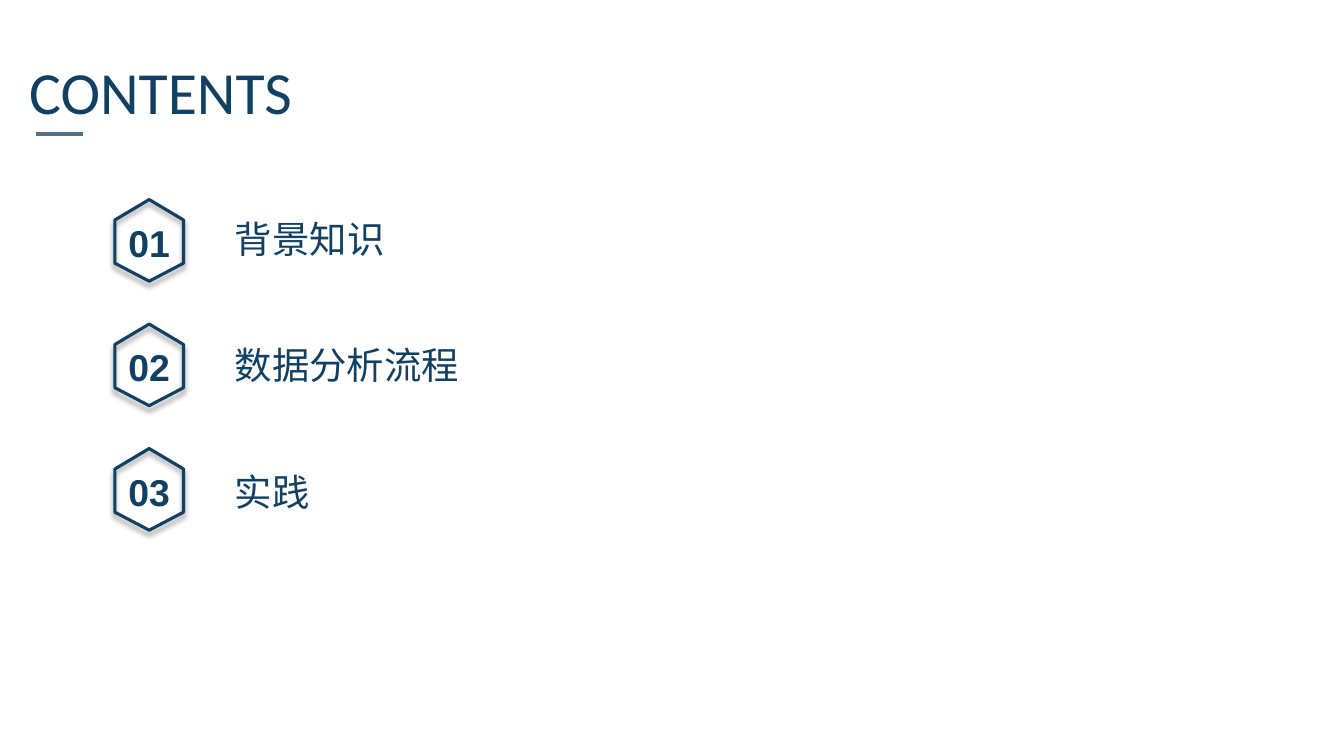
import pptx
import pptx.dml.color
import pptx.enum.shapes
import pptx.enum.text
import pptx.oxml
import pptx.oxml.ns
import pptx.util

NAVY = pptx.dml.color.RGBColor(0x12, 0x40, 0x62)
SLATE = pptx.dml.color.RGBColor(0x53, 0x72, 0x85)
BLACK = pptx.dml.color.RGBColor(0, 0, 0)

COLUMNS, ROWS = 40, 30
ALIGN = pptx.enum.text.PP_ALIGN
HEXAGON = [(0.5, 0), (1, 0.25), (1, 0.78), (0.5, 1), (0, 0.78), (0, 0.25)]
TOPICS = [("背景知识", 13.32), ("数据分析流程", 8.31), ("实践", 28.68)]


def apply(target, values):
    for name, value in values.items():
        setattr(target, name, value)


class ContentsPage:
    heading = {"name": "Calibri", "size": pptx.util.Pt(42.7), "bold": False}
    number = {"name": "Arial", "size": pptx.util.Pt(26.7), "bold": True}
    topic = {"name": "Noto Sans CJK SC", "size": pptx.util.Pt(26.7), "bold": False}
    stroke = pptx.util.Pt(2.25)

    def __init__(self, deck):
        self.column = deck.slide_width / COLUMNS
        self.row = deck.slide_height / ROWS
        self.page = deck.slides.add_slide(deck.slide_layouts[5])

    def point(self, x, y):
        return round(x * self.column), round(y * self.row)

    def fill_text(self, box, text, font, align=ALIGN.LEFT, wrap=True):
        apply(box.text_frame, {
            "word_wrap": wrap,
            "auto_size": pptx.enum.text.MSO_AUTO_SIZE.SHAPE_TO_FIT_TEXT,
            "vertical_anchor": pptx.enum.text.MSO_ANCHOR.TOP,
        })
        para = box.text_frame.paragraphs[0]
        para.alignment = align
        span = para.add_run()
        span.text = text
        apply(span.font, font)
        span.font.color.rgb = NAVY
        east_asian = pptx.oxml.parse_xml(
            f'<a:ea {pptx.oxml.ns.nsdecls("a")} typeface="{font["name"]}"/>')
        span.font._element.append(east_asian)

    def title(self, text, x, y, width, height):
        box = self.page.shapes.title
        box.left, box.top = self.point(x, y)
        box.width, box.height = self.point(width, height)
        self.fill_text(box, text, self.heading)

    def text(self, text, x, y, width, height, font, **layout):
        box = self.page.shapes.add_textbox(*self.point(x, y), *self.point(width, height))
        self.fill_text(box, text, font, **layout)

    def rule(self, x, y, end):
        line = self.page.shapes.add_connector(
            pptx.enum.shapes.MSO_CONNECTOR.STRAIGHT, *self.point(x, y), *self.point(end, y))
        line.line.color.rgb = SLATE
        line.line.width = self.stroke
        line._element.spPr.append(
            pptx.oxml.parse_xml(f'<a:effectLst {pptx.oxml.ns.nsdecls("a")}/>'))

    def hexagon(self, x, y, width, height):
        corners = [self.point(x + across * width, y + down * height)
                   for across, down in HEXAGON]
        builder = self.page.shapes.build_freeform(*corners[0])
        builder.add_line_segments(corners[1:], close=True)
        badge = builder.convert_to_shape()
        badge.fill.background()
        badge.line.color.rgb = NAVY
        badge.line.width = self.stroke
        badge.shadow.inherit = False
        effects = badge._element.spPr.find(pptx.oxml.ns.qn("a:effectLst"))
        effects.append(pptx.oxml.parse_xml(
            f'<a:outerShdw {pptx.oxml.ns.nsdecls("a")} blurRad="{pptx.util.Pt(4)}" '
            f'dist="{pptx.util.Pt(3)}" dir="5400000" algn="t" rotWithShape="0">'
            f'<a:srgbClr val="{BLACK}"><a:alpha val="40000"/></a:srgbClr></a:outerShdw>'))


def main():
    deck = pptx.Presentation()
    apply(deck, {"slide_width": pptx.util.Inches(13.33),
                 "slide_height": pptx.util.Inches(7.5)})
    contents = ContentsPage(deck)
    contents.title("CONTENTS", 0.57, 1.96, 10.98, 3.28)
    contents.rule(1.08, 5.32, 2.46)
    for index, (topic, width) in enumerate(TOPICS):
        badge_top = 7.92 + 4.94 * index
        contents.hexagon(3.42, badge_top, 2.04, 3.24)
        contents.text(f"{index + 1:02d}", 3.51, badge_top + 0.6, 1.86, 2.2,
                      contents.number, align=ALIGN.CENTER, wrap=False)
        contents.text(topic, 6.69, 8.36 + 5.02 * index, width, 2.2, contents.topic)
    deck.save("out.pptx")


if __name__ == "__main__":
    main()
